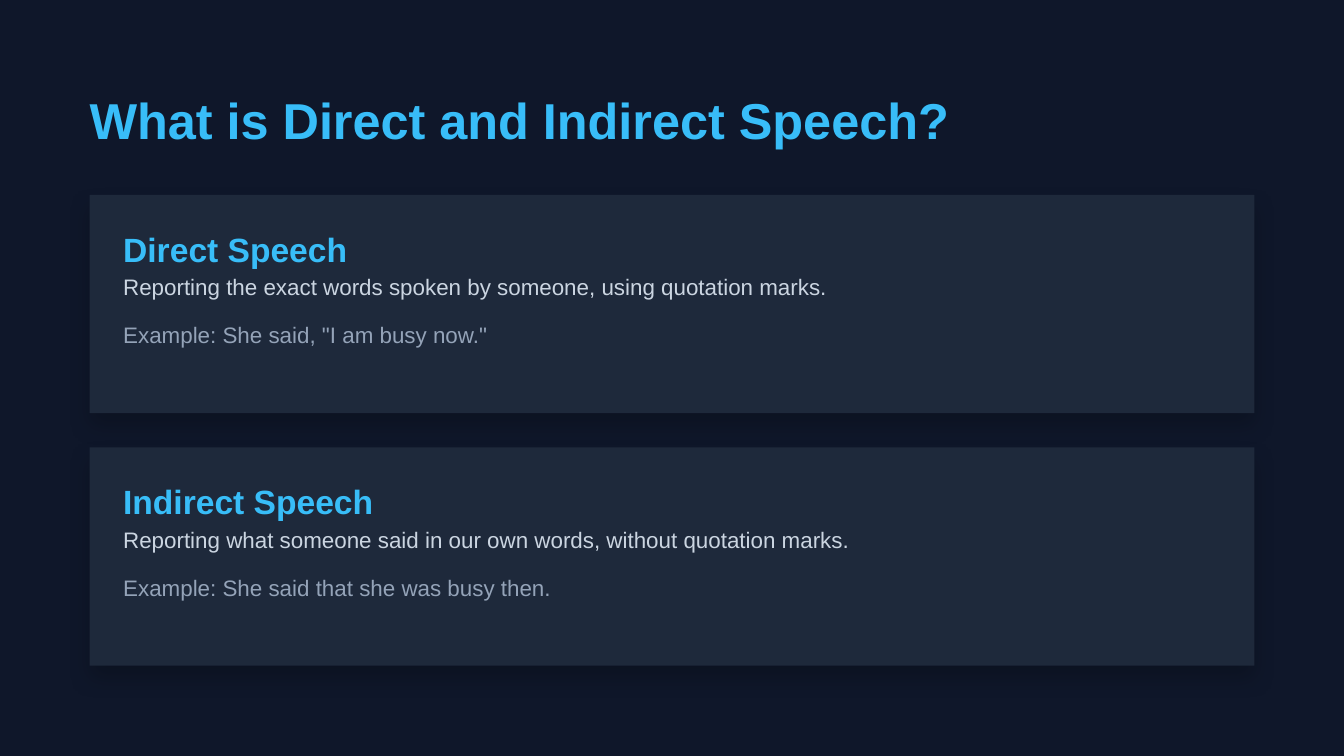
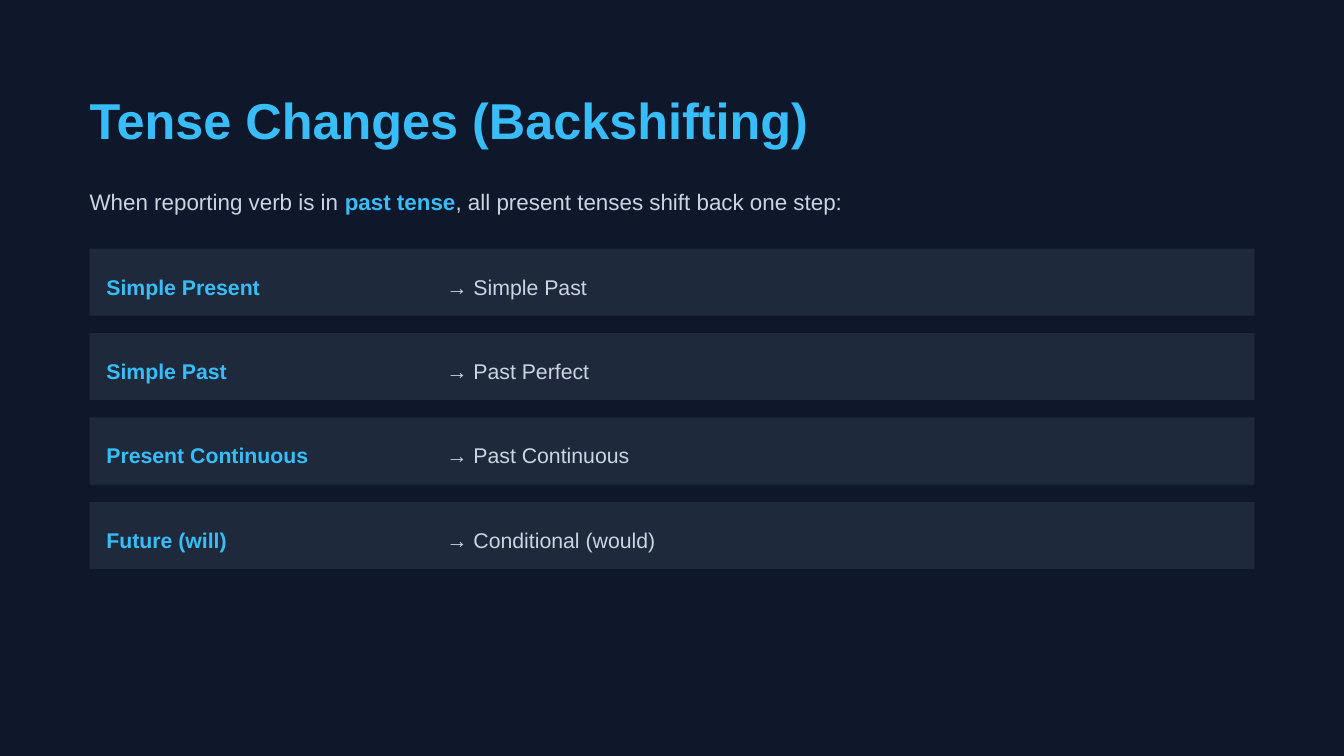
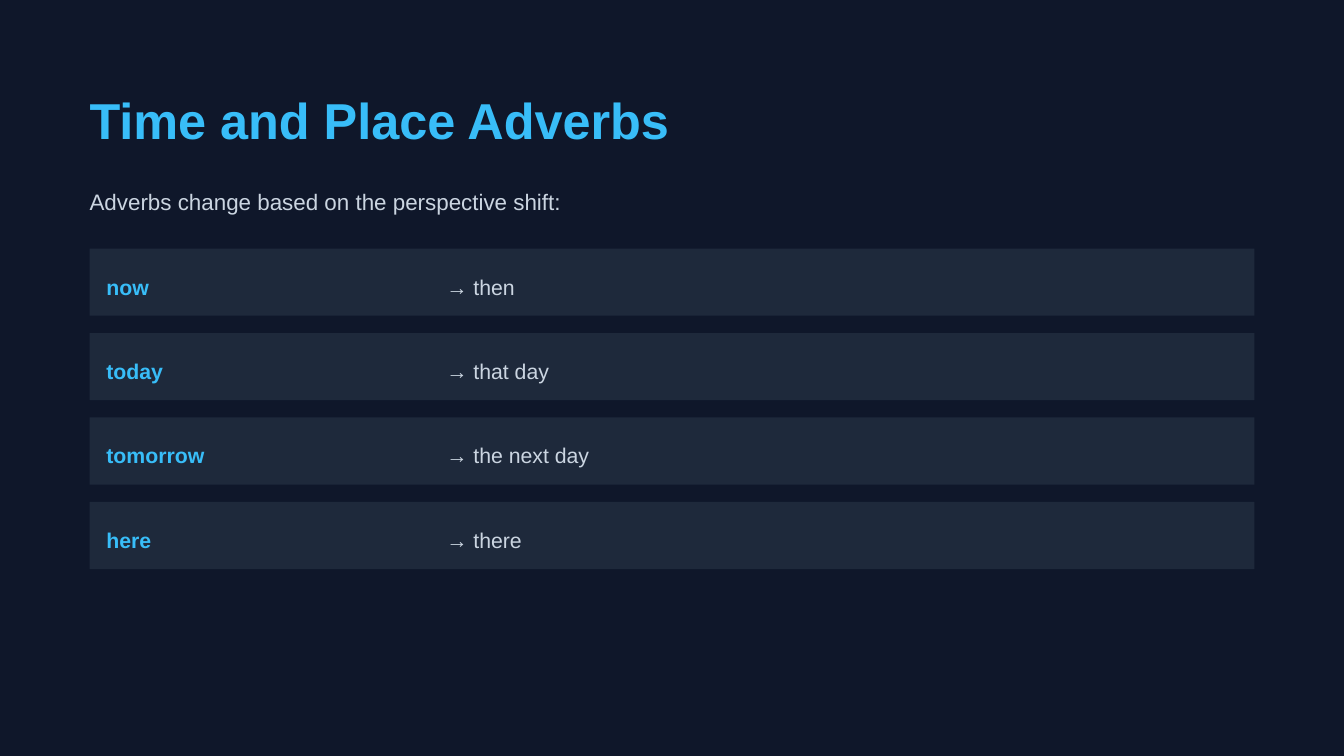
import pptx
import pptx.dml.color
import pptx.enum.shapes
import pptx.oxml
import pptx.oxml.ns
import pptx.util

COLORS = {
    "night": "0F172A",
    "panel": "1E293B",
    "sky": "38BDF8",
    "mist": "CBD5E1",
    "slate": "94A3B8",
    "shadow": "000000",
}

# Text styles: line height in points, colour name and font attributes.
STYLES = {
    "title": (32.4, "sky", {"size": 27, "bold": True}),
    "heading": (21.6, "sky", {"size": 18, "bold": True}),
    "body": (16.8, "mist", {"size": 12, "bold": False}),
    "strong": (16.8, "sky", {"size": 12, "bold": True}),
    "example": (16.8, "slate", {"size": 12, "bold": False}),
    "term": (18.2, "sky", {"size": 11.4, "bold": True}),
    "result": (18.2, "mist", {"size": 11.4, "bold": False}),
}

# The grid has 120 columns and 67.5 rows of 6 points each.
CELL = 6
MARGIN = 8
CONTENT_WIDTH = 104
TEXT_WIDTH = 106
INSETS = dict.fromkeys(
    ("margin_left", "margin_top", "margin_right", "margin_bottom"), 0
)


def rgb(name):
    return pptx.dml.color.RGBColor.from_string(COLORS[name])


def grid(cells):
    return pptx.util.Pt(cells * CELL)


class LessonDeck:
    def __init__(self):
        self.deck = pptx.Presentation()
        self.deck.slide_width = grid(120)
        self.deck.slide_height = grid(67.5)
        self.page = None

    def start_page(self, title):
        self.page = self.deck.slides.add_slide(self.deck.slide_layouts[6])
        background = self.page.background.fill
        background.solid()
        background.fore_color.rgb = rgb("night")
        self.text(MARGIN, 8, TEXT_WIDTH, [(title, "title")])

    def text(self, column, row, width, spans):
        """Add one line of (words, style) spans; the first sets its height."""
        leading = STYLES[spans[0][1]][0]
        box = self.page.shapes.add_textbox(
            grid(column), grid(row), grid(width), pptx.util.Pt(leading)
        )
        frame = box.text_frame
        for name, value in {**INSETS, "word_wrap": True}.items():
            setattr(frame, name, value)
        para = frame.paragraphs[0]
        para.line_spacing = pptx.util.Pt(leading)
        for words, style in spans:
            _, color, font = STYLES[style]
            span = para.add_run()
            span.text = words
            settings = {**font, "name": "Arial", "size": pptx.util.Pt(font["size"])}
            for name, value in settings.items():
                setattr(span.font, name, value)
            span.font.color.rgb = rgb(color)

    def panel(self, row, height):
        panel = self.page.shapes.add_shape(
            pptx.enum.shapes.MSO_SHAPE.RECTANGLE,
            grid(MARGIN), grid(row), grid(CONTENT_WIDTH), grid(height),
        )
        panel.shadow.inherit = False
        panel.fill.solid()
        panel.fill.fore_color.rgb = rgb("panel")
        panel.line.fill.background()
        return panel

    def drop_shadow(self, shape):
        effects = shape._element.spPr.find(pptx.oxml.ns.qn("a:effectLst"))
        effects.append(pptx.oxml.parse_xml(
            f'<a:outerShdw {pptx.oxml.ns.nsdecls("a")} '
            f'blurRad="{pptx.util.Pt(12)}" dist="{pptx.util.Pt(6)}" '
            f'dir="5400000" algn="ctr" rotWithShape="0">'
            f'<a:srgbClr val="{COLORS["shadow"]}"><a:alpha val="20000"/></a:srgbClr>'
            f'</a:outerShdw>'
        ))

    def definition_card(self, row, heading, meaning, example):
        self.drop_shadow(self.panel(row, 19.5))
        lines = (
            (3, heading, "heading"),
            (6.6, meaning, "body"),
            (10.9, example, "example"),
        )
        for offset, words, style in lines:
            self.text(MARGIN + 3, row + offset, 100, [(words, style)])

    def change_list(self, lead, changes):
        self.text(MARGIN, 16.4, TEXT_WIDTH, lead)
        for index, (term, result) in enumerate(changes):
            row = 22.2 + index * 7.54
            self.panel(row, 6)
            self.text(MARGIN + 1.5, row + 1.5, 31, [(term, "term")])
            self.text(39.85, row + 1.5, 72.15, [(f"→ {result}", "result")])


def main():
    lesson = LessonDeck()

    lesson.start_page("What is Direct and Indirect Speech?")
    definitions = (
        (
            "Direct Speech",
            "Reporting the exact words spoken by someone, using quotation marks.",
            'Example: She said, "I am busy now."',
        ),
        (
            "Indirect Speech",
            "Reporting what someone said in our own words, without quotation marks.",
            "Example: She said that she was busy then.",
        ),
    )
    for index, definition in enumerate(definitions):
        lesson.definition_card(17.4 + index * 22.55, *definition)

    lesson.start_page("Tense Changes (Backshifting)")
    lesson.change_list(
        [
            ("When reporting verb is in ", "body"),
            ("past tense", "strong"),
            (", all present tenses shift back one step:", "body"),
        ],
        [
            ("Simple Present", "Simple Past"),
            ("Simple Past", "Past Perfect"),
            ("Present Continuous", "Past Continuous"),
            ("Future (will)", "Conditional (would)"),
        ],
    )

    lesson.start_page("Time and Place Adverbs")
    lesson.change_list(
        [("Adverbs change based on the perspective shift:", "body")],
        [
            ("now", "then"),
            ("today", "that day"),
            ("tomorrow", "the next day"),
            ("here", "there"),
        ],
    )

    lesson.deck.save("out.pptx")


if __name__ == "__main__":
    main()
